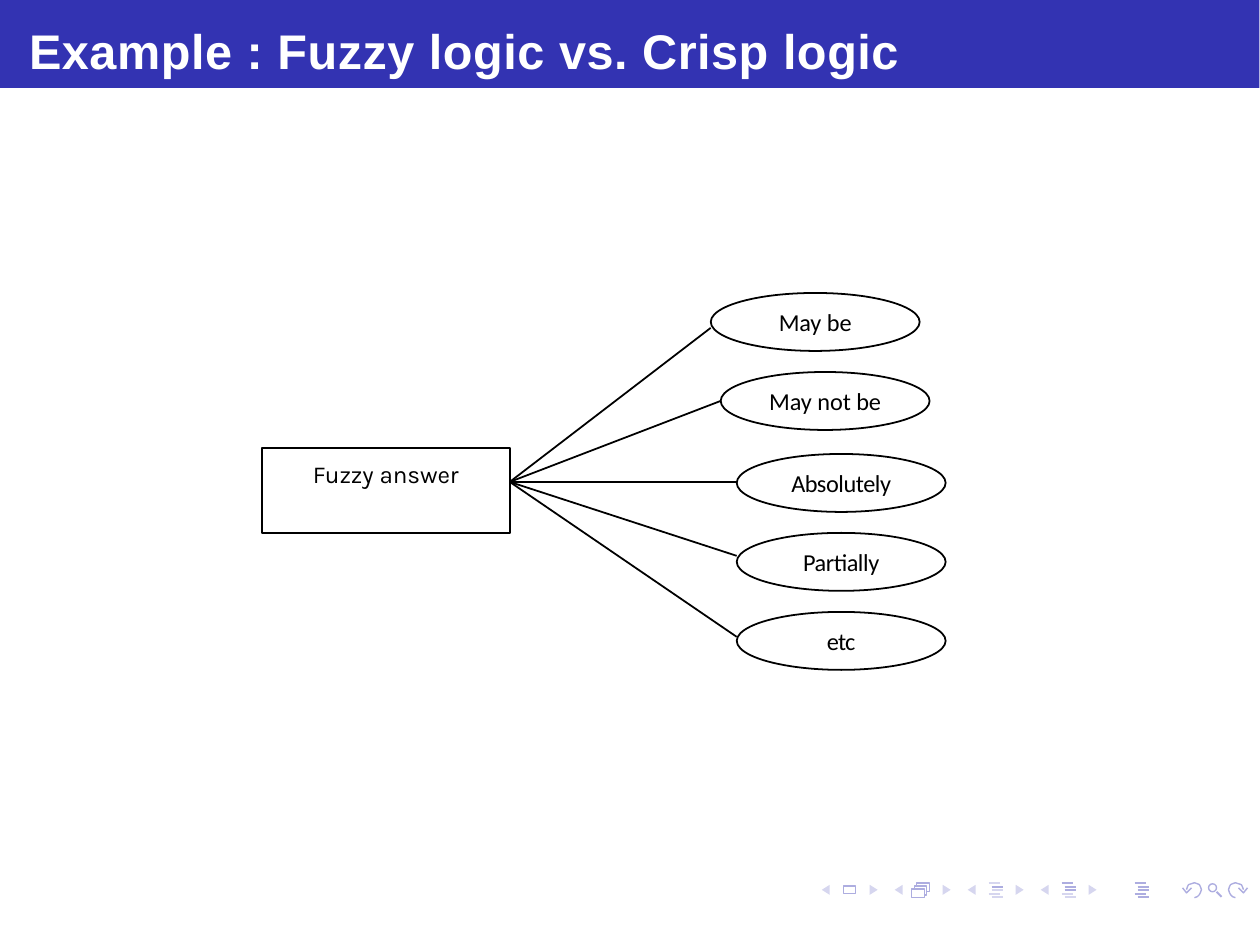
from lxml.etree import SubElement
from pptx import Presentation
from pptx.dml.color import RGBColor
from pptx.enum.shapes import MSO_CONNECTOR as Connector, MSO_SHAPE as Preset
from pptx.enum.text import MSO_ANCHOR as Anchor, PP_ALIGN as Align
from pptx.oxml.ns import qn
from pptx.util import Emu, Pt

SCALE = 914400 / 250
SLIDE_SIZE = (Pt(363), Pt(272.5))
BLUE, BLACK, WHITE, MID, PALE = "3333B2", "000000", "FFFFFF", "ADADE0", "D6D6EF"

TITLE = "Example : Fuzzy logic vs. Crisp logic"
TITLE_BOX = (29, 12, 885, 67)
BAR_BOX = (0, 0, 1260, 88)
QUESTION = "Fuzzy answer"
QUESTION_BOX = (262, 448, 248, 85)
HUB = (510, 482)
ANSWER_SIZE = (209, 58)
ANSWERS = [
    ("May be", (711, 293), (711, 328), 0),
    ("May not be", (721, 372), (721, 401), 0),
    ("Absolutely", (737, 454), (737, 482), -10),
    ("Partially", (737, 533), (737, 556), -10),
    ("etc", (737, 612), (737, 637), -20),
]
TITLE_FONT = {"name": "Arial", "size": Pt(14), "bold": True}
QUESTION_FONT = {"name": "Karla", "size": Pt(7), "bold": False}
ANSWER_FONT = {"name": "Calibri", "size": Pt(7), "bold": False}

NAV_LEFT, NAV_STEP, NAV_COUNT = 822, 73, 4
PREVIOUS = [(8, 885), (0, 890), (8, 895)]
NEXT = [(48, 885), (56, 890), (48, 895)]
FRAMES = [(844, 886, 12, 8), (912, 889, 13, 9)]
FRAME_BACKS = [
    [(915, 889), (915, 886), (927, 886), (927, 895), (925, 895)],
    [(917, 886), (917, 883), (930, 883), (930, 892), (927, 892)],
]
OUTLINE_ROWS = [(0, 883), (3, 887), (3, 890), (0, 894), (3, 897)]
OUTLINE_ICONS = [(989, {1}), (1062, {0, 1, 2}), (1135, {0, 1, 2, 3, 4})]
OUTLINE_LENGTH = 11
LENS_BOX = (1209, 884, 8, 8)
LENS_HANDLE = [(1217, 892), (1222, 897)]
UNDO = [
    [(1195, 898), (1198, 897), (1200, 895), (1201, 893), (1202, 890), (1201, 887), (1200, 885),
     (1198, 884), (1195, 883), (1192, 884), (1189, 885), (1188, 887), (1187, 890)],
    [(1192, 888), (1187, 893), (1183, 888)],
]
REDO_MIRROR = 2431


def px(*lengths):
    return [Emu(round(length * SCALE)) for length in lengths]


def color(value):
    return RGBColor.from_string(value)


def style(shape, fill=None, line=None, weight=0.5):
    shape.shadow.inherit = False
    if fill:
        shape.fill.solid()
        shape.fill.fore_color.rgb = color(fill)
    else:
        shape.fill.background()
    if line:
        shape.line.color.rgb = color(line)
        shape.line.width = Pt(weight)
    else:
        shape.line.fill.background()


def add_preset(slide, preset, box, **look):
    shape = slide.shapes.add_shape(preset, *px(*box))
    style(shape, **look)
    return shape


def add_outline(slide, points, close=False, **look):
    builder = slide.shapes.build_freeform(*points[0], scale=SCALE)
    builder.add_line_segments(points[1:], close=close)
    style(builder.convert_to_shape(), **look)


def add_line(slide, start, end, line, weight):
    connector = slide.shapes.add_connector(Connector.STRAIGHT, *px(*start, *end))
    connector.line.color.rgb = color(line)
    connector.line.width = Pt(weight)
    SubElement(connector.element.spPr, qn("a:effectLst"))


def write(shape, text, font, text_color, align, anchor, top=0, spacing=0):
    frame = shape.text_frame
    layout = {"margin_left": 0, "margin_right": 0, "margin_top": px(top)[0], "margin_bottom": 0,
              "word_wrap": False, "vertical_anchor": anchor}
    for name, value in layout.items():
        setattr(frame, name, value)
    paragraph = frame.paragraphs[0]
    paragraph.alignment = align
    run = paragraph.add_run()
    run.text = text
    for name, value in font.items():
        setattr(run.font, name, value)
    run.font.color.rgb = color(text_color)
    if spacing:
        run._r.get_or_add_rPr().set("spc", str(spacing))


def add_title(slide):
    title = slide.shapes.title
    title.left, title.top, title.width, title.height = px(*TITLE_BOX)
    write(title, TITLE, TITLE_FONT, WHITE, Align.LEFT, Anchor.TOP, top=9, spacing=15)
    bar = add_preset(slide, Preset.RECTANGLE, BAR_BOX, fill=BLUE)
    title.element.addprevious(bar.element)


def add_diagram(slide):
    question = add_preset(slide, Preset.RECTANGLE, QUESTION_BOX, line=BLACK)
    write(question, QUESTION, QUESTION_FONT, BLACK, Align.CENTER, Anchor.TOP, top=11)
    for text, corner, line_end, spacing in ANSWERS:
        add_line(slide, HUB, line_end, BLACK, 0.5)
        oval = add_preset(slide, Preset.OVAL, (*corner, *ANSWER_SIZE), line=BLACK)
        write(oval, text, ANSWER_FONT, BLACK, Align.CENTER, Anchor.MIDDLE, spacing=spacing)


def add_navigation(slide):
    for index in range(NAV_COUNT):
        left = NAV_LEFT + index * NAV_STEP
        for arrow in (PREVIOUS, NEXT):
            add_outline(slide, [(left + x, y) for x, y in arrow], close=True, fill=PALE)
    for box in FRAMES:
        add_preset(slide, Preset.RECTANGLE, box, line=MID, weight=0.4)
    for left, active_rows in OUTLINE_ICONS:
        for row, (indent, y) in enumerate(OUTLINE_ROWS):
            start = left + indent
            shade = MID if row in active_rows else PALE
            add_line(slide, (start, y), (start + OUTLINE_LENGTH, y), shade, 0.6)
    add_preset(slide, Preset.OVAL, LENS_BOX, line=MID, weight=0.4)
    add_line(slide, *LENS_HANDLE, MID, 0.6)
    redo = [[(REDO_MIRROR - x, y) for x, y in stroke] for stroke in UNDO]
    for stroke in FRAME_BACKS + UNDO + redo:
        add_outline(slide, stroke, line=MID, weight=0.4)


def main():
    """Build the fuzzy answer slide and save it."""
    presentation = Presentation()
    presentation.slide_width, presentation.slide_height = SLIDE_SIZE
    slide = presentation.slides.add_slide(presentation.slide_layouts[5])
    add_navigation(slide)
    add_title(slide)
    add_diagram(slide)
    presentation.save("out.pptx")


if __name__ == "__main__":
    main()
